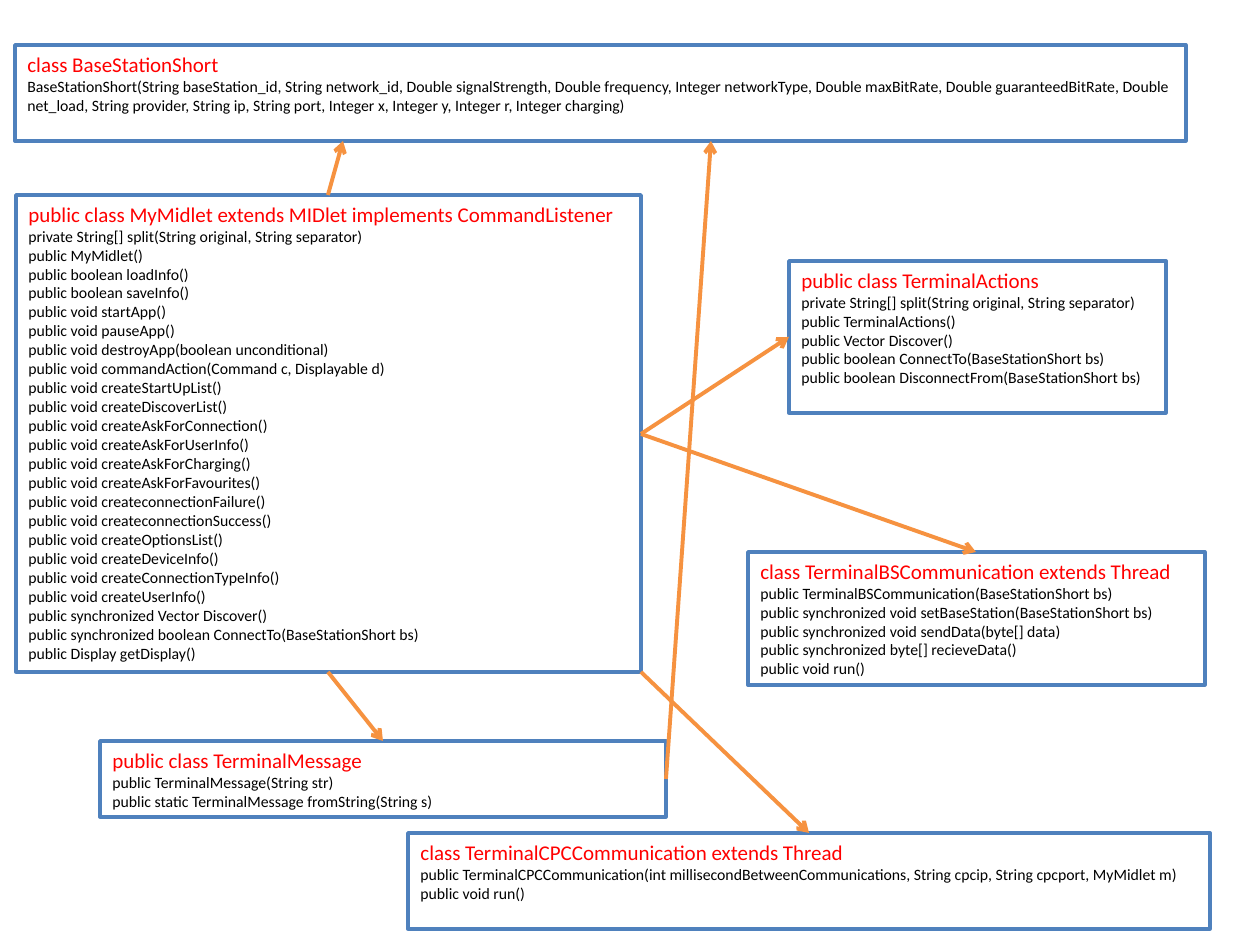
from dataclasses import dataclass

from lxml.etree import SubElement
from pptx import Presentation
from pptx.dml.color import RGBColor
from pptx.enum.shapes import MSO_CONNECTOR as Connector, MSO_SHAPE as Shape
from pptx.enum.text import MSO_ANCHOR as Anchor, PP_ALIGN as Align
from pptx.oxml.ns import qn
from pptx.slide import Slide
from pptx.util import Emu, Inches, Pt

PX = 914400 // 126
FONT = "Calibri"
COLORS = {
    "box": "FFFFFF",
    "border": "4F81BD",
    "title": "FF0000",
    "member": "000000",
    "arrow": "F69240",
}


@dataclass(frozen=True)
class ClassBox:
    """A class with its members; lengths in pixels."""
    left: int
    top: int
    width: int
    height: int
    title: str
    members: tuple[str, ...]

    def at(self, across: float, down: float) -> tuple[int, int]:
        """Return the point at these fractions of the width and height."""
        return (round(self.left + across * self.width),
                round(self.top + down * self.height))


@dataclass(frozen=True)
class Arrow:
    """An arrow between two points in pixels."""
    start: tuple[int, int]
    end: tuple[int, int]


BS_COMMUNICATION = ClassBox(
    748, 552, 457, 133, "class TerminalBSCommunication extends Thread", (
        "public TerminalBSCommunication(BaseStationShort bs)",
        "public synchronized void setBaseStation(BaseStationShort bs)",
        "public synchronized void sendData(byte[] data)",
        "public synchronized byte[] recieveData()",
        "public void run()",
    ))
CPC_COMMUNICATION = ClassBox(
    408, 833, 802, 96, "class TerminalCPCCommunication extends Thread", (
        "public TerminalCPCCommunication(int millisecondBetweenCommunications, "
        "String cpcip, String cpcport, MyMidlet m)",
        "public void run()",
    ))
MIDLET = ClassBox(
    16, 195, 625, 477,
    "public class MyMidlet extends MIDlet implements CommandListener", (
        "private String[] split(String original, String separator)",
        "public MyMidlet()",
        "public boolean loadInfo()",
        "public boolean saveInfo()",
        "public void startApp()",
        "public void pauseApp()",
        "public void destroyApp(boolean unconditional)",
        "public void commandAction(Command c, Displayable d)",
        "public void createStartUpList()",
        "public void createDiscoverList()",
        "public void createAskForConnection()",
        "public void createAskForUserInfo()",
        "public void createAskForCharging()",
        "public void createAskForFavourites()",
        "public void createconnectionFailure()",
        "public void createconnectionSuccess()",
        "public void createOptionsList()",
        "public void createDeviceInfo()",
        "public void createConnectionTypeInfo()",
        "public void createUserInfo()",
        "public synchronized Vector Discover()",
        "public synchronized boolean ConnectTo(BaseStationShort bs)",
        "public Display getDisplay()",
    ))
ACTIONS = ClassBox(
    789, 261, 377, 152, "public class TerminalActions", (
        "private String[] split(String original, String separator)",
        "public TerminalActions()",
        "public Vector Discover()",
        "public boolean ConnectTo(BaseStationShort bs)",
        "public boolean DisconnectFrom(BaseStationShort bs)",
    ))
BASE_STATION = ClassBox(
    15, 45, 1171, 96, "class BaseStationShort", (
        "BaseStationShort(String baseStation_id, String network_id, "
        "Double signalStrength, Double frequency, Integer networkType, "
        "Double maxBitRate, Double guaranteedBitRate, Double net_load, "
        "String provider, String ip, String port, Integer x, Integer y, "
        "Integer r, Integer charging)",
    ))
MESSAGE = ClassBox(
    100, 741, 566, 76, "public class TerminalMessage", (
        "public TerminalMessage(String str)",
        "public static TerminalMessage fromString(String s)",
    ))

CLASSES = (BS_COMMUNICATION, CPC_COMMUNICATION, MIDLET, ACTIONS,
           BASE_STATION, MESSAGE)
BASE_BOTTOM = BASE_STATION.top + BASE_STATION.height
ARROWS = (
    Arrow(MIDLET.at(0.5, 0), (343, BASE_BOTTOM)),
    Arrow(MIDLET.at(1, 0.5), ACTIONS.at(0, 0.5)),
    Arrow(MIDLET.at(1, 0.5), BS_COMMUNICATION.at(0.5, 0)),
    Arrow(MIDLET.at(0.5, 1), MESSAGE.at(0.5, 0)),
    Arrow(MIDLET.at(1, 1), CPC_COMMUNICATION.at(0.5, 0)),
    Arrow(MESSAGE.at(1, 0.5), (711, BASE_BOTTOM)),
)


def color(part: str) -> RGBColor:
    """Look up the colour of a part."""
    return RGBColor.from_string(COLORS[part])


def px(*lengths: int) -> list[Emu]:
    """Turn pixels into EMU."""
    return [Emu(length * PX) for length in lengths]


def draw_class(slide: Slide, box: ClassBox) -> None:
    """Draw a class box with its title and members."""
    outline = slide.shapes.add_shape(
        Shape.RECTANGLE, *px(box.left, box.top, box.width, box.height))
    outline.shadow.inherit = False
    outline.fill.solid()
    outline.fill.fore_color.rgb = color("box")
    outline.line.color.rgb = color("border")
    outline.line.width = Pt(2)
    frame = outline.text_frame
    frame.word_wrap = True
    frame.vertical_anchor = Anchor.TOP
    for index, wording in enumerate((box.title, *box.members)):
        paragraph = frame.add_paragraph() if index else frame.paragraphs[0]
        paragraph.text = wording
        paragraph.alignment = Align.LEFT
        paragraph.font.name = FONT
        paragraph.font.size = Pt(9 if index else 12)
        paragraph.font.color.rgb = color("member" if index else "title")


def draw_arrow(slide: Slide, arrow: Arrow) -> None:
    """Draw a straight line with an open arrowhead at its end."""
    link = slide.shapes.add_connector(
        Connector.STRAIGHT, *px(*arrow.start, *arrow.end))
    link.line.color.rgb = color("arrow")
    link.line.width = Pt(2.25)
    properties = link._element.spPr
    SubElement(properties.find(qn("a:ln")), qn("a:tailEnd"), type="arrow")
    SubElement(properties, qn("a:effectLst"))


def main() -> None:
    """Build and save the class diagram."""
    deck = Presentation()
    deck.slide_width, deck.slide_height = Inches(10), Inches(7.5)
    slide = deck.slides.add_slide(deck.slide_layouts[6])
    for box in CLASSES:
        draw_class(slide, box)
    for arrow in ARROWS:
        draw_arrow(slide, arrow)
    deck.save("out.pptx")


main()
